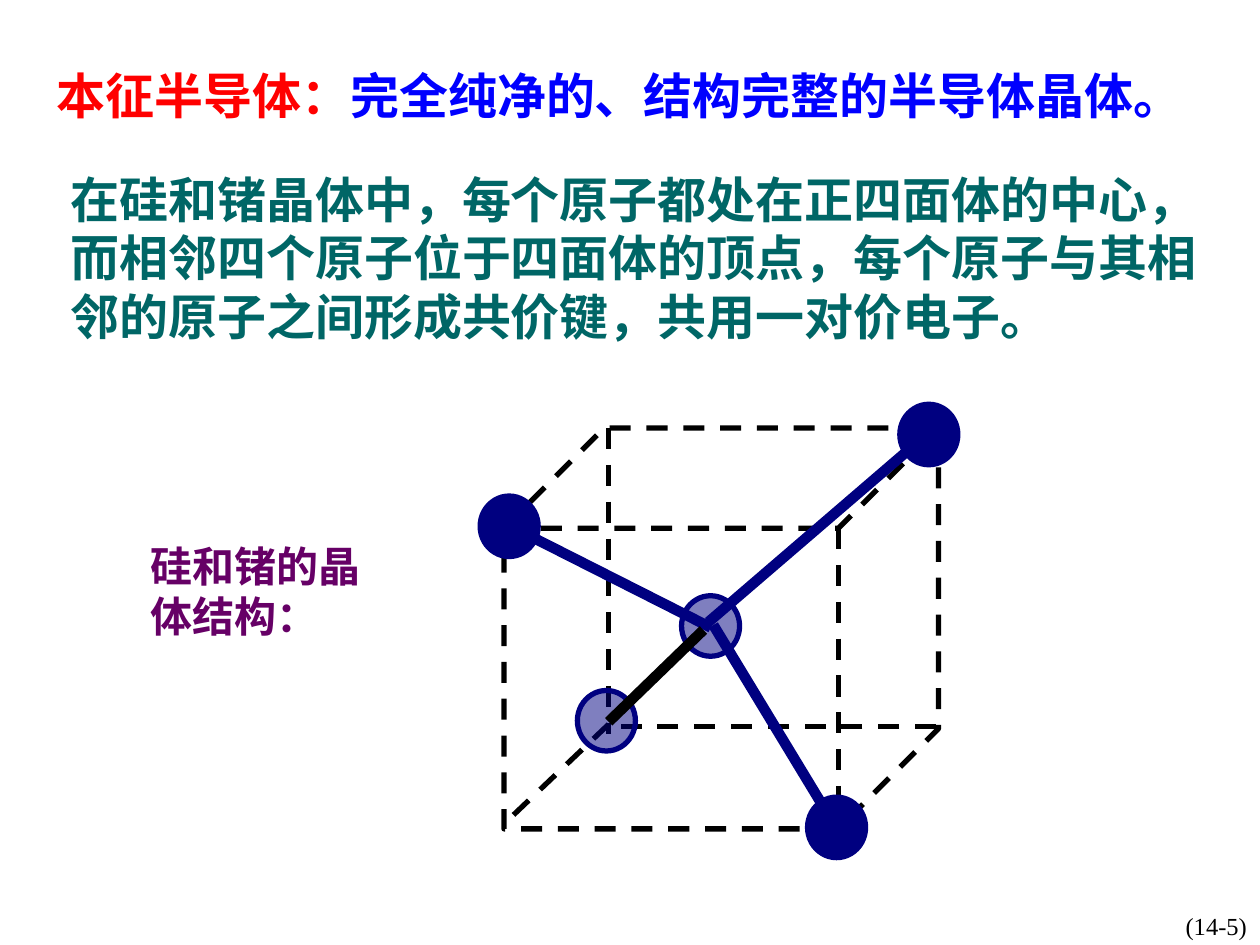
from dataclasses import dataclass

from lxml.etree import SubElement
from pptx import Presentation
from pptx.dml.color import RGBColor as RGB
from pptx.enum.dml import MSO_LINE_DASH_STYLE as Dash
from pptx.enum.shapes import MSO_CONNECTOR as Connector, MSO_SHAPE as Shape
from pptx.enum.text import MSO_ANCHOR as Anchor, MSO_AUTO_SIZE as AutoSize, PP_ALIGN as Align
from pptx.oxml.ns import qn
from pptx.util import Cm, Pt


@dataclass(frozen=True)
class Theme:
    """Colours, font and sizes of the slide."""
    font: str = "Times New Roman"
    term: RGB = RGB(0xFF, 0, 0)
    definition: RGB = RGB(0, 0, 0xFF)
    body: RGB = RGB(0, 0x66, 0x66)
    label: RGB = RGB(0x66, 0, 0x66)
    black: RGB = RGB(0, 0, 0)
    atom: RGB = RGB(0, 0, 0x80)
    text_size: int = 28
    label_size: int = 24
    number_size: int = 14
    edge_width: int = 3
    bond_width: int = 6


THEME = Theme()


def place(shape, box):
    """Move a shape to a box given in centimetres."""
    shape.left, shape.top, shape.width, shape.height = (Cm(v) for v in box)


def style_run(r, size, color, bold=True):
    """Format one run."""
    r.font.name, r.font.size, r.font.bold = THEME.font, Pt(size), bold
    r.font.color.rgb = color


def prepare_frame(shape, align=Align.LEFT, anchor=Anchor.TOP):
    """Set wrapping and alignment, and return the first paragraph."""
    tf = shape.text_frame
    tf.word_wrap, tf.auto_size, tf.vertical_anchor = True, AutoSize.NONE, anchor
    p = tf.paragraphs[0]
    p.alignment, p.space_before = align, Pt(0)
    return p


def add_heading(s, box):
    """Fill the title with the term and its definition."""
    title = s.shapes.title
    place(title, box)
    p = prepare_frame(title)
    for text, color in (("本征半导体：", THEME.term),
                        ("完全纯净的、结构完整的半导体晶体。", THEME.definition)):
        r = p.add_run()
        r.text = text
        style_run(r, THEME.text_size, color)


def add_body(s, box):
    """Fill the body with the plain paragraph on bonding."""
    body = s.placeholders[1]
    place(body, box)
    body.text_frame.text = ("在硅和锗晶体中，每个原子都处在正四面体的中心，"
                            "而相邻四个原子位于四面体的顶点，"
                            "每个原子与其相邻的原子之间形成共价键，共用一对价电子。")
    p = prepare_frame(body)
    pPr = p._p.get_or_add_pPr()
    pPr.set("marL", "0")
    pPr.set("indent", "0")
    SubElement(pPr, qn("a:buNone"))
    style_run(p.runs[0], THEME.text_size, THEME.body)


def add_text(s, box, text, size, color, bold=True, **layout):
    """Add a text box with one formatted paragraph."""
    tb = s.shapes.add_textbox(*(Cm(v) for v in box))
    tb.text_frame.text = text
    style_run(prepare_frame(tb, **layout).runs[0], size, color, bold)


def set_line(line, color, width, dash=None):
    """Format an outline or a connector line."""
    line.color.rgb, line.width = color, Pt(width)
    if dash:
        line.dash_style = dash


def add_line(shapes, x, y, ends, color, width, dash=None):
    """Add a straight line relative to the point x, y."""
    x1, y1, x2, y2 = ends
    line = shapes.add_connector(Connector.STRAIGHT, Cm(x + x1), Cm(y + y1),
                                Cm(x + x2), Cm(y + y2))
    SubElement(line._element.spPr, qn("a:effectLst"))
    set_line(line.line, color, width, dash)


def add_atom(shapes, x, y, translucent):
    """Add an atom, half transparent if it lies inside or behind."""
    atom = shapes.add_shape(Shape.OVAL, Cm(x), Cm(y), Cm(1.17), Cm(1.22))
    atom.shadow.inherit = False
    atom.fill.solid()
    atom.fill.fore_color.rgb = THEME.atom
    set_line(atom.line, THEME.atom, THEME.edge_width)
    if translucent:
        color = atom._element.spPr.find(qn("a:solidFill"))[0]
        SubElement(color, qn("a:alpha")).set("val", "50000")


def add_crystal(s, x, y):
    """Draw the unit cell with its atoms and bonds from its top left corner."""
    shapes = s.shapes.add_group_shape().shapes
    cube = shapes.add_shape(Shape.CUBE, Cm(x + 0.48), Cm(y + 0.48), Cm(8.76), Cm(8.08))
    cube.shadow.inherit = False
    cube.adjustments[0] = 0.25
    cube.fill.background()
    set_line(cube.line, THEME.black, THEME.edge_width, Dash.DASH)
    for edge in ((2.59, 0.48, 2.59, 6.65), (9.19, 6.5, 2.54, 6.5), (2.59, 6.45, 0.48, 8.46)):
        add_line(shapes, x, y, edge, THEME.black, THEME.edge_width, Dash.DASH)
    for dx, dy, translucent in ((4.06, 3.86, True), (0, 1.85, False), (1.96, 5.77, True),
                                (8.46, 0, False), (6.6, 7.92, False)):
        add_atom(shapes, x + dx, y + dy, translucent)
    for bond, color in (((1.07, 2.69, 4.65, 4.5), THEME.atom),
                        ((4.5, 4.55, 2.59, 6.4), THEME.black),
                        ((4.7, 4.45, 7.19, 8.56), THEME.atom),
                        ((4.6, 4.39, 9.09, 0.53), THEME.atom)):
        add_line(shapes, x, y, bond, color, THEME.bond_width)


def main():
    """Build and save the slide."""
    prs = Presentation()
    prs.slide_width, prs.slide_height = Cm(25.4), Cm(19.05)
    s = prs.slides.add_slide(prs.slide_layouts[1])
    add_text(s, (22.07, 18.24, 4.9, 0.84), "(14-5)", THEME.number_size, THEME.black,
             bold=False, align=Align.CENTER, anchor=Anchor.MIDDLE)
    add_heading(s, (0.89, 1.19, 23.88, 1.45))
    add_body(s, (1.17, 3.28, 23.44, 3.81))
    add_crystal(s, 9.68, 8.15)
    add_text(s, (2.79, 10.77, 5.11, 2.29), "硅和锗的晶体结构：", THEME.label_size, THEME.label)
    prs.save("out.pptx")


if __name__ == "__main__":
    main()
